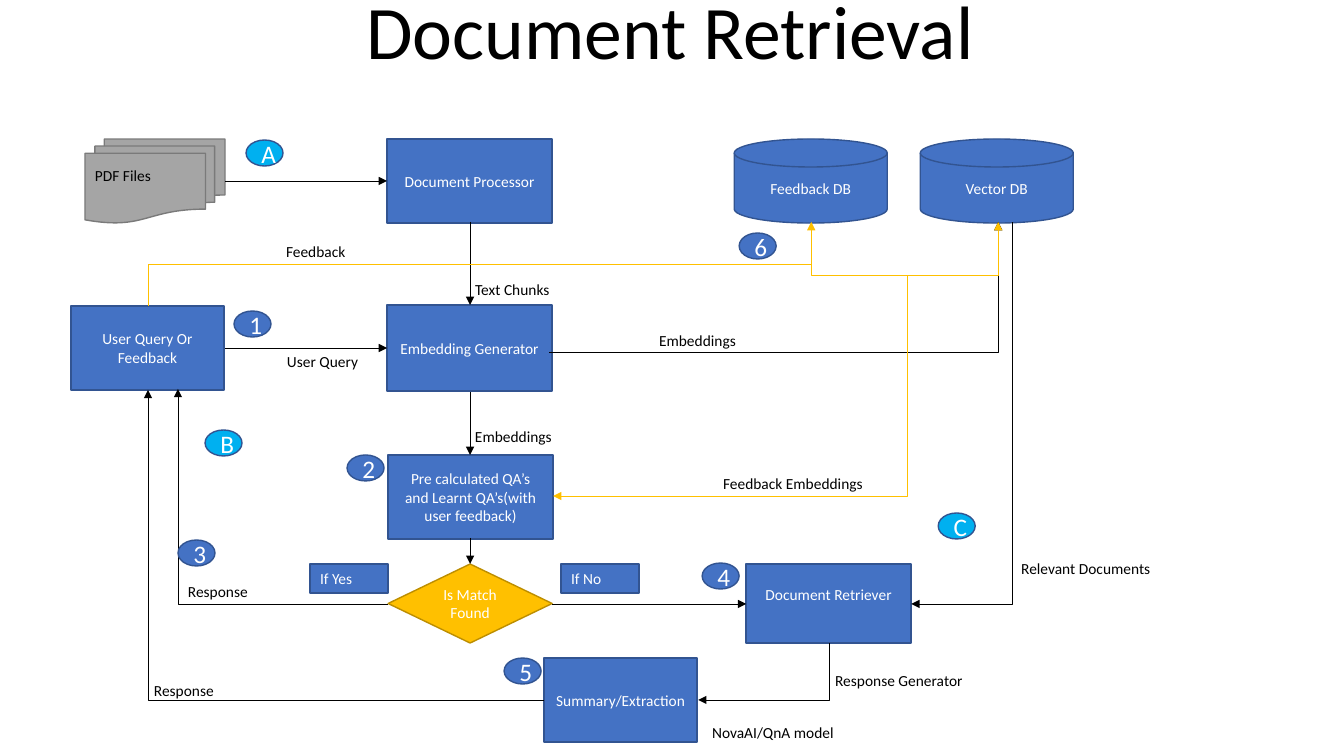
from lxml import etree
from pptx import Presentation
from pptx import util as u
from pptx.dml.color import RGBColor
from pptx.enum import shapes, text
from pptx.oxml.ns import qn

SCALE = u.Inches(1) / 100.8
FONT = "Calibri"
BLACK = RGBColor(0x00, 0x00, 0x00)
WHITE = RGBColor(0xFF, 0xFF, 0xFF)
BLUE = RGBColor(0x44, 0x72, 0xC4)
NAVY = RGBColor(0x32, 0x54, 0x91)
CYAN = RGBColor(0x00, 0xB0, 0xF0)
GOLD = RGBColor(0xFF, 0xC0, 0x00)
BROWN = RGBColor(0xBD, 0x8E, 0x00)
GREY = RGBColor(0xA5, 0xA5, 0xA5)
DARK_GREY = RGBColor(0x7A, 0x7A, 0x7A)

KIND = shapes.MSO_SHAPE
LEFT, CENTER = text.PP_ALIGN.LEFT, text.PP_ALIGN.CENTER
TOP, MIDDLE, BOTTOM = (text.MSO_ANCHOR.TOP, text.MSO_ANCHOR.MIDDLE,
                       text.MSO_ANCHOR.BOTTOM)
FIT = text.MSO_AUTO_SIZE.SHAPE_TO_FIT_TEXT

# Lengths are pixels: left, top, width, height.
TITLE = ("Document Retrieval", (18, 0, 1304, 81))
STEPS = [
    ("Document Processor", KIND.RECTANGLE, (387, 139, 165, 84)),
    ("Embedding Generator", KIND.RECTANGLE, (387, 305, 165, 86)),
    ("Pre calculated QA\u2019s and Learnt QA\u2019s(with user feedback)",
     KIND.RECTANGLE, (388, 455, 165, 84)),
    ("User Query Or Feedback", KIND.RECTANGLE, (71, 306, 153, 84)),
    ("Document Retriever", KIND.RECTANGLE, (746, 564, 165, 79)),
    ("Summary/Extraction", KIND.RECTANGLE, (544, 658, 153, 84)),
    ("Feedback DB", KIND.FLOWCHART_MAGNETIC_DISK, (734, 139, 153, 84)),
    ("Vector DB", KIND.FLOWCHART_MAGNETIC_DISK, (920, 139, 153, 84)),
]
RAISED_TEXT = {"Document Retriever": 23}
PDF_STACK = (85, 139, 140, 84)
DECISION = ("Is Match Found", (388, 564, 164, 79))
BRANCHES = [("If Yes", 310), ("If No", 561)]
BRANCH_TOP, BRANCH_SIZE = 564, (78, 29)
LABEL_HEIGHT = 29
LABELS = [  # wording, left, top, width
    ("PDF Files", 85, 161, 113),
    ("Text Chunks", 465, 275, 133),
    ("Embeddings", 649, 326, 152),
    ("Embeddings", 465, 422, 152),
    ("Response Generator", 825, 666, 152),
    ("NovaAI/QnA model", 702, 718, 152),
    ("Relevant Documents", 1011, 554, 152),
    ("Response", 144, 676, 152),
    ("Response", 178, 577, 152),
    ("Feedback", 276, 237, 99),
    ("User Query", 277, 347, 99),
    ("Feedback Embeddings", 713, 469, 162),
]
BADGE_SIZE = (37, 26)
BADGES = [  # wording, left, top
    ("1", 234, 311), ("2", 347, 455), ("3", 178, 540),
    ("4", 702, 563), ("5", 504, 658), ("6", 739, 233),
    ("A", 246, 140), ("B", 205, 430), ("C", 938, 513),
]
STRAIGHT = [  # from, to
    ((225, 181), (387, 181)),
    ((225, 348), (387, 348)),
    ((470, 222), (470, 305)),
    ((470, 392), (470, 455)),
    ((470, 538), (470, 564)),
    ((552, 604), (746, 604)),
]
# Corners run level from the first point, then upright to the second.
CORNERS = [  # first, second, arrowhead end, colour
    ((911, 604), (1012, 222), "headEnd", BLACK),
    ((544, 700), (148, 390), "tailEnd", BLACK),
    ((388, 604), (178, 389), "tailEnd", BLACK),
    ((549, 352), (998, 222), "tailEnd", BLACK),
    ((698, 700), (829, 643), "headEnd", BLACK),
    ((553, 496), (907, 276), "headEnd", GOLD),
]
FEEDBACK_STEPS = [  # from, to, height of the level run
    ((148, 306), (811, 222), 264),
    ((811, 223), (998, 222), 276),
]


def px(*lengths):
    """Turn pixels into EMU."""
    return [u.Emu(round(length * SCALE)) for length in lengths]


def set_all(target, values):
    """Set every attribute named in a dict."""
    for name, value in values.items():
        setattr(target, name, value)


def write(box, wording, size=11, color=WHITE, align=CENTER, spacing=None,
          **frame_format):
    """Put one formatted paragraph in a box."""
    frame = box.text_frame
    set_all(frame, {"word_wrap": True, "vertical_anchor": MIDDLE, **frame_format})
    para = frame.paragraphs[0]
    set_all(para, {"alignment": align, "line_spacing": spacing})
    span = para.add_run()
    span.text = wording
    set_all(span.font, {"name": FONT, "size": u.Pt(size)})
    span.font.color.rgb = color


def add_box(page, kind, place, fill=BLUE, line=NAVY):
    """Draw a flat preset shape."""
    box = page.shapes.add_shape(kind, *px(*place))
    box.shadow.inherit = False
    box.fill.solid()
    box.fill.fore_color.rgb = fill
    box.line.color.rgb = line
    box.line.width = u.Pt(1)
    return box


def add_arrow(page, start, end, color=BLACK, head="tailEnd", preset=None):
    """Draw a thin connector with a triangle at one end."""
    arrow = page.shapes.add_connector(shapes.MSO_CONNECTOR.STRAIGHT,
                                      *px(*start, *end))
    arrow.line.color.rgb = color
    arrow.line.width = u.Pt(0.5)
    properties = arrow._element.spPr
    etree.SubElement(properties.find(qn("a:ln")), qn("a:" + head), type="triangle")
    etree.SubElement(properties, qn("a:effectLst"))
    if preset:
        properties.find(qn("a:prstGeom")).set("prst", preset)
    return arrow


def add_step_arrow(page, start, end, level):
    """Draw an upright, level, upright connector rising to the right."""
    (left, bottom), (right, top) = start, end
    middle_x, middle_y = (left + right) / 2, (top + bottom) / 2
    half_rise, half_run = (bottom - top) / 2, (right - left) / 2
    arrow = add_arrow(page, (middle_x + half_rise, middle_y + half_run),
                      (middle_x - half_rise, middle_y - half_run),
                      GOLD, preset="bentConnector3")
    properties = arrow._element.spPr
    properties.find(qn("a:xfrm")).set("rot", "5400000")
    geometry = properties.find(qn("a:prstGeom"))
    guides = geometry.find(qn("a:avLst"))
    if guides is None:
        guides = etree.SubElement(geometry, qn("a:avLst"))
    share = round((bottom - level) / (bottom - top) * 100000)
    etree.SubElement(guides, qn("a:gd"), name="adj1", fmla=f"val {share}")


deck = Presentation()
deck.slide_width, deck.slide_height = u.Inches(13.33), u.Inches(7.5)
page = deck.slides.add_slide(deck.slide_layouts[6])

title, place = TITLE
write(page.shapes.add_textbox(*px(*place)), title, 54, BLACK, spacing=0.9,
      vertical_anchor=BOTTOM)

add_box(page, KIND.FLOWCHART_MULTIDOCUMENT, PDF_STACK, GREY, DARK_GREY)
for wording, kind, place in STEPS:
    bottom_gap, = px(RAISED_TEXT.get(wording, 5))
    write(add_box(page, kind, place), wording, margin_bottom=bottom_gap)
wording, place = DECISION
write(add_box(page, KIND.FLOWCHART_DECISION, place, GOLD, BROWN), wording)
for wording, left in BRANCHES:
    branch = add_box(page, KIND.RECTANGLE, (left, BRANCH_TOP, *BRANCH_SIZE))
    write(branch, wording, align=LEFT, vertical_anchor=TOP, auto_size=FIT)

for start, end in STRAIGHT:
    add_arrow(page, start, end)
for start, end, head, color in CORNERS:
    add_arrow(page, start, end, color, head, "bentConnector2")
for start, end, level in FEEDBACK_STEPS:
    add_step_arrow(page, start, end, level)

for wording, left, top, width in LABELS:
    label = page.shapes.add_textbox(*px(left, top, width, LABEL_HEIGHT))
    write(label, wording, color=BLACK, align=LEFT, vertical_anchor=TOP,
          auto_size=FIT)
for wording, left, top in BADGES:
    fill = BLUE if wording.isdigit() else CYAN
    write(add_box(page, KIND.OVAL, (left, top, *BADGE_SIZE), fill), wording, 18)

deck.save("out.pptx")
